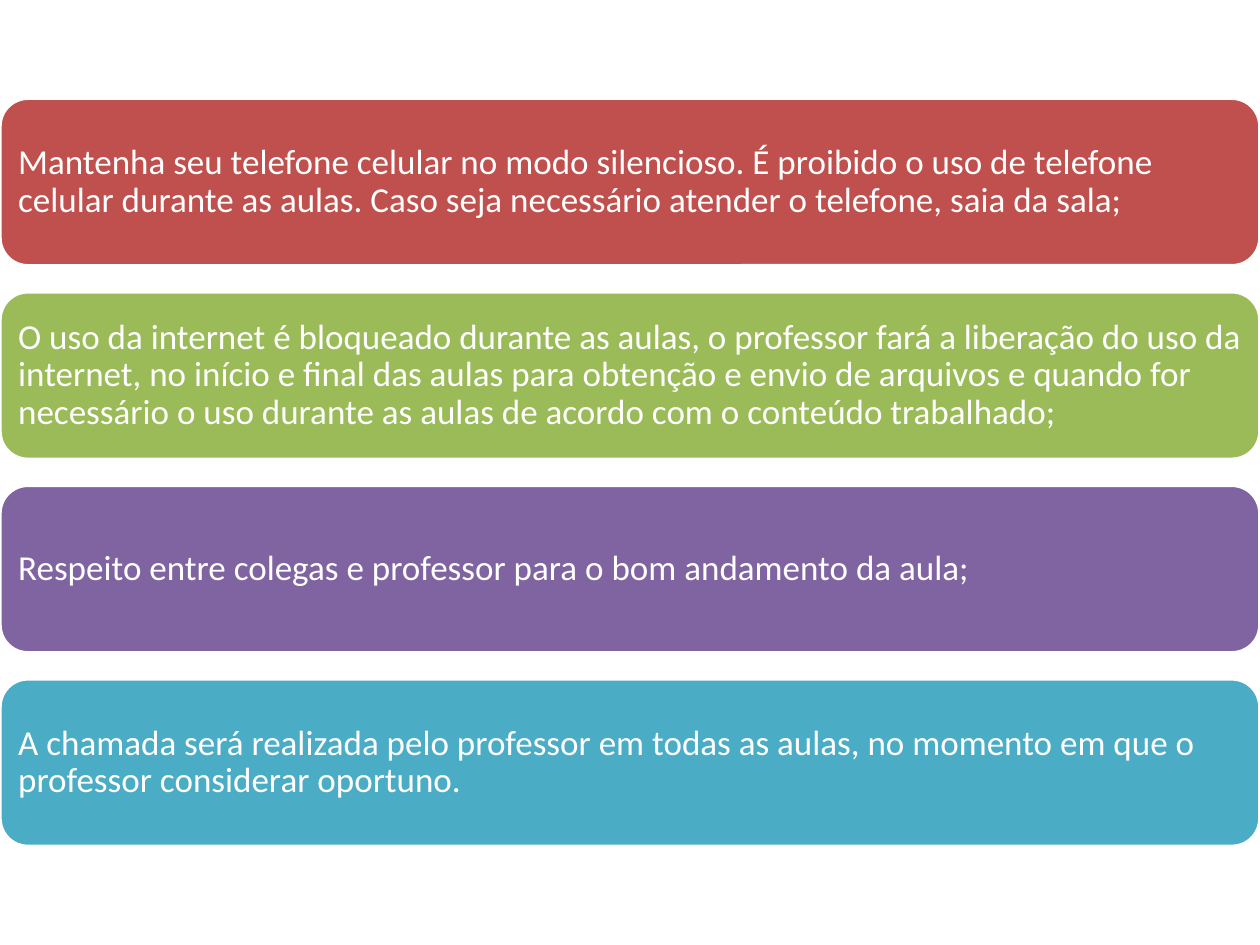
import pptx
import pptx.dml.color
import pptx.enum.shapes
import pptx.enum.text
import pptx.util

COLORS = {
    "red": "C0504D",
    "green": "9BBB59",
    "purple": "8064A2",
    "teal": "4BACC6",
    "white": "FFFFFF",
}

RULES = [
    ("red", "Mantenha seu telefone celular no modo silencioso. É proibido o uso de telefone "
            "celular durante as aulas. Caso seja necessário atender o telefone, saia da sala;"),
    ("green", "O uso da internet é bloqueado durante as aulas, o professor fará a liberação do uso "
              "da internet, no início e final das aulas para obtenção e envio de arquivos e quando for "
              "necessário o uso durante as aulas de acordo com o conteúdo trabalhado;"),
    ("purple", "Respeito entre colegas e professor para o bom andamento da aula;"),
    ("teal", "A chamada será realizada pelo professor em todas as aulas, no momento em que o "
             "professor considerar oportuno."),
]


class ClassRules:
    """Holds the style and the page on which the rule bars are stacked."""

    first_top, row_pitch, bar_height = 0.78, 1.536, 1.33
    inset = pptx.util.Inches(0.08)
    frame_format = {
        "word_wrap": True,
        "vertical_anchor": pptx.enum.text.MSO_ANCHOR.MIDDLE,
        "margin_left": inset,
        "margin_right": inset,
        "margin_top": inset,
        "margin_bottom": inset,
    }
    para_format = {"alignment": pptx.enum.text.PP_ALIGN.LEFT, "line_spacing": 0.9}
    font_format = {"name": "Calibri", "size": pptx.util.Pt(20)}

    def __init__(self, deck):
        self.width = deck.slide_width
        self.page = deck.slides.add_slide(deck.slide_layouts[6])

    def color(self, name):
        return pptx.dml.color.RGBColor.from_string(COLORS[name])

    def apply(self, target, values):
        for name, value in values.items():
            setattr(target, name, value)

    def bar(self, row, fill, text):
        top = pptx.util.Inches(self.first_top + row * self.row_pitch)
        box = self.page.shapes.add_shape(
            pptx.enum.shapes.MSO_SHAPE.ROUNDED_RECTANGLE,
            0, top, self.width, pptx.util.Inches(self.bar_height))
        box.shadow.inherit = False
        box.fill.solid()
        box.fill.fore_color.rgb = self.color(fill)
        box.line.color.rgb = self.color("white")
        box.line.width = pptx.util.Pt(2)
        self.apply(box.text_frame, self.frame_format)
        para = box.text_frame.paragraphs[0]
        self.apply(para, self.para_format)
        span = para.add_run()
        span.text = text
        self.apply(span.font, self.font_format)
        span.font.color.rgb = self.color("white")


def main():
    deck = pptx.Presentation()
    deck.slide_width = pptx.util.Inches(10)
    deck.slide_height = pptx.util.Inches(7.5)
    rules = ClassRules(deck)
    for row, (fill, text) in enumerate(RULES):
        rules.bar(row, fill, text)
    deck.save("out.pptx")


if __name__ == "__main__":
    main()
